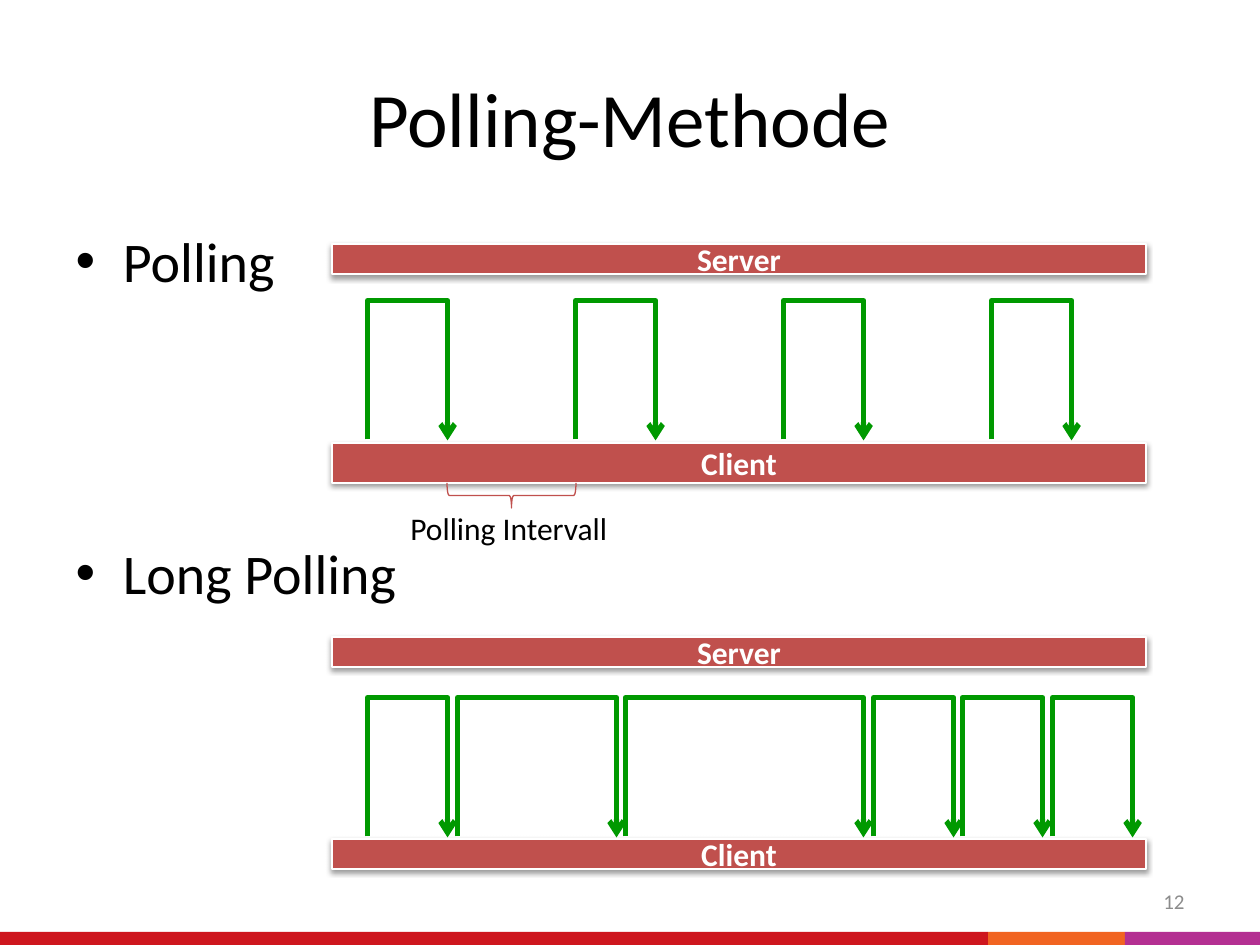
"""Builds the slide that contrasts polling with long polling."""
from lxml import etree
from pptx import Presentation
from pptx.dml.color import RGBColor
from pptx.enum.shapes import MSO_CONNECTOR, MSO_SHAPE
from pptx.enum.text import MSO_ANCHOR, PP_ALIGN
from pptx.oxml.ns import qn
from pptx.util import Emu, Pt

BLACK = RGBColor(0x00, 0x00, 0x00)
WHITE = RGBColor(0xFF, 0xFF, 0xFF)
GREY = RGBColor(0x8C, 0x8C, 0x8C)
BRICK = RGBColor(0xC0, 0x50, 0x4D)
GREEN = RGBColor(0x00, 0x99, 0x00)
ORANGE = RGBColor(0xF1, 0x64, 0x21)
PURPLE = RGBColor(0xB4, 0x2F, 0x92)
RED = RGBColor(0xCE, 0x16, 0x1E)
RECTANGLE, BRACE = MSO_SHAPE.RECTANGLE, MSO_SHAPE.RIGHT_BRACE
ELBOW = MSO_CONNECTOR.ELBOW
CENTER, LEFT, RIGHT = PP_ALIGN.CENTER, PP_ALIGN.LEFT, PP_ALIGN.RIGHT
MIDDLE, TOP = MSO_ANCHOR.MIDDLE, MSO_ANCHOR.TOP
RISE = 140


def px(*lengths):
    return [Emu(round(length * 914400 / 126)) for length in lengths]


def write(paragraph, text, color, size, align=LEFT, bold=False):
    span = paragraph.add_run()
    span.text = text
    paragraph.alignment = align
    formats = {"name": "Calibri", "size": Pt(size), "bold": bold}
    for name, value in formats.items():
        setattr(span.font, name, value)
    span.font.color.rgb = color


deck = Presentation()
deck.slide_width, deck.slide_height = px(1260, 945)
page = deck.slides.add_slide(deck.slide_layouts[1])
shapes = page.shapes
title, body = page.placeholders

for left, width, color in [(988, 137, ORANGE), (1125, 137, PURPLE), (0, 988, RED)]:
    stripe = shapes.add_shape(RECTANGLE, *px(left, 932, width, 14))
    stripe.shadow.inherit = False
    stripe.fill.solid()
    stripe.fill.fore_color.rgb = color
    stripe.line.fill.background()

for holder, place in [(title, (63, 38, 1134, 157)), (body, (63, 220, 1134, 624))]:
    holder.left, holder.top, holder.width, holder.height = px(*place)
write(title.text_frame.paragraphs[0], "Polling-Methode", BLACK, 44, CENTER)
write(body.text_frame.paragraphs[0], "Polling", BLACK, 32)
long_polling = body.text_frame.add_paragraph()
long_polling.space_before = Pt(140)
write(long_polling, "Long Polling", BLACK, 32)

for text, top, height in [("Server", 244, 30), ("Client", 443, 40),
                          ("Server", 637, 30), ("Client", 839, 30)]:
    bar = shapes.add_shape(RECTANGLE, *px(332, top, 814, height))
    bar.shadow.inherit = False
    bar.fill.solid()
    bar.fill.fore_color.rgb = BRICK
    bar.line.color.rgb = WHITE
    bar.line.width = Pt(1)
    effects = bar.element.spPr.find(qn("a:effectLst"))
    shadow = etree.SubElement(effects, qn("a:outerShdw"), blurRad=str(Pt(3.1)),
                              dist=str(Pt(1.6)), dir="5400000", rotWithShape="0")
    shade = etree.SubElement(shadow, qn("a:srgbClr"), val="000000")
    etree.SubElement(shade, qn("a:alpha"), val="38000")
    bar.text_frame.vertical_anchor = MIDDLE
    write(bar.text_frame.paragraphs[0], text, WHITE, 18, CENTER, True)

polling_trips = [(367 + 208 * step, 80, 440) for step in range(4)]
long_trips = [(start, span, 837) for start, span in [
    (367, 80), (457, 159), (625, 238), (873, 80), (962, 80), (1052, 80)]]
for start, width, base in polling_trips + long_trips:
    middle = start + width / 2
    trip = shapes.add_connector(ELBOW, *px(middle + 1, base - width / 2,
                                           middle, base + width / 2))
    trip.line.color.rgb = GREEN
    trip.line.width = Pt(3)
    properties = trip.element.spPr
    properties.find(qn("a:xfrm")).set("rot", "16200000")
    guides = properties.find(qn("a:prstGeom")).find(qn("a:avLst"))
    etree.SubElement(guides, qn("a:gd"), name="adj1", fmla=f"val {-RISE * 100000}")
    etree.SubElement(properties.find(qn("a:ln")), qn("a:tailEnd"), type="arrow")
    etree.SubElement(properties, qn("a:effectLst"))

brace = shapes.add_shape(BRACE, *px(499, 431, 25, 129))
brace.rotation = 90
brace.shadow.inherit = False
brace.fill.background()
brace.line.color.rgb = BRICK
brace.line.width = Pt(0.75)

for text, place, color, size, align, anchor, wrap in [
        ("Polling Intervall", (398, 503, 224, 50), BLACK, 18, LEFT, TOP, False),
        ("12", (903, 876, 294, 50), GREY, 12, RIGHT, MIDDLE, True)]:
    box = shapes.add_textbox(*px(*place))
    box.text_frame.word_wrap = wrap
    box.text_frame.vertical_anchor = anchor
    write(box.text_frame.paragraphs[0], text, color, size, align)

deck.save("out.pptx")
